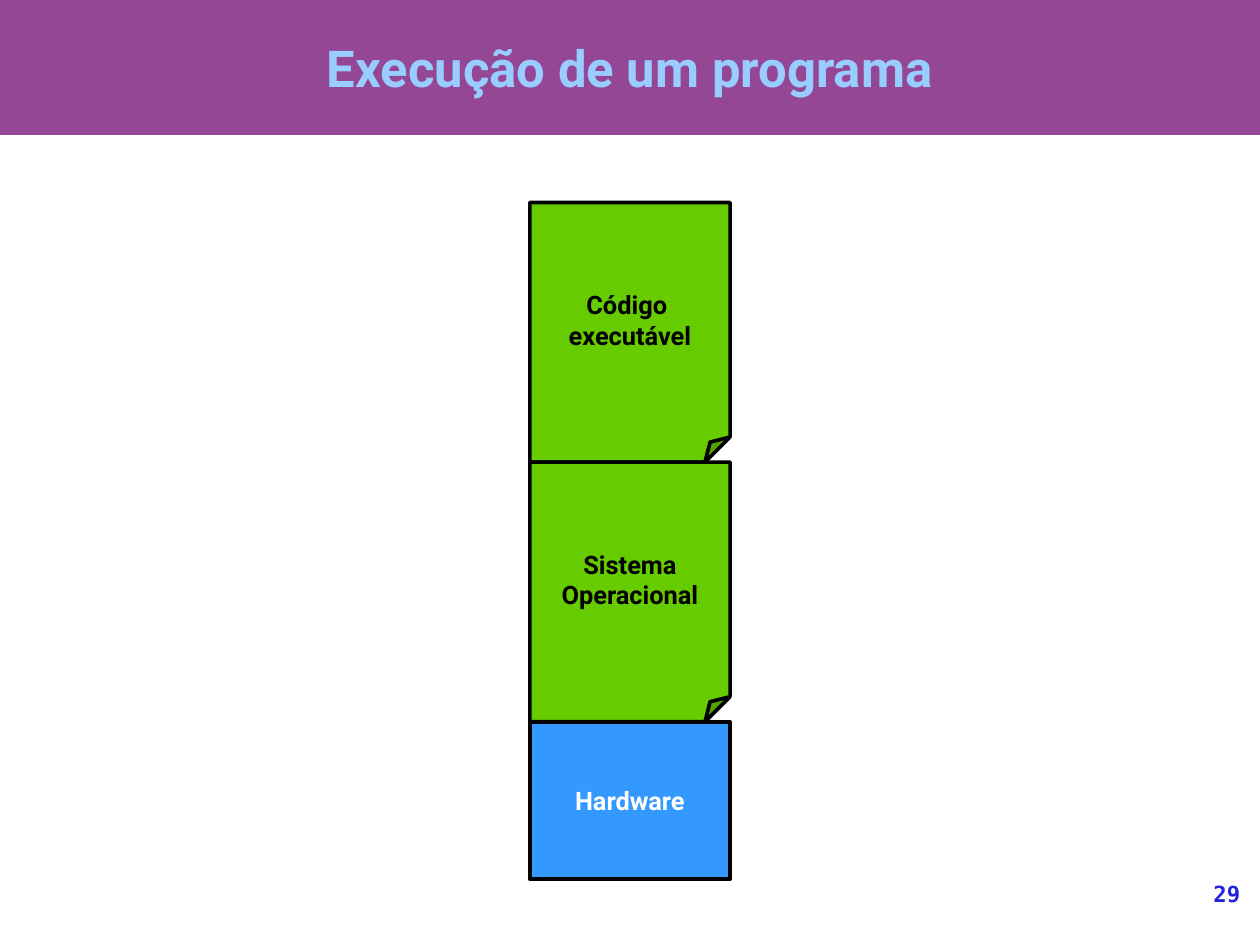
from lxml.etree import SubElement
from pptx import Presentation
from pptx.dml.color import RGBColor
from pptx.enum.shapes import MSO_SHAPE as Shape
from pptx.enum.text import MSO_ANCHOR as Anchor, MSO_AUTO_SIZE as AutoSize, PP_ALIGN as Align
from pptx.oxml.ns import qn
from pptx.util import Cm, Pt

PURPLE = RGBColor(0x94, 0x47, 0x94)
PALE_BLUE = RGBColor(0x99, 0xCC, 0xFF)
GREEN = RGBColor(0x66, 0xCC, 0x00)
BLUE = RGBColor(0x33, 0x99, 0xFF)
NUMBER_BLUE = RGBColor(0x23, 0x23, 0xDC)
BLACK = RGBColor(0, 0, 0)
WHITE = RGBColor(0xFF, 0xFF, 0xFF)

PAGE_WIDTH, PAGE_HEIGHT = 28, 21
LAYER_WIDTH = 4.45
STACK_TOP = 4.5

# Layers from top to bottom: outline, height, fill, text colour, lines
LAYERS = [
    (Shape.FOLDED_CORNER, 5.77, GREEN, BLACK, ["Código ", "executável"]),
    (Shape.FOLDED_CORNER, 5.77, GREEN, BLACK, ["Sistema", "Operacional"]),
    (Shape.RECTANGLE, 3.5, BLUE, WHITE, ["Hardware"]),
]


def write(frame, lines, size, color, align=Align.CENTER, name="Roboto"):
    para = frame.paragraphs[0]
    for index, line in enumerate(lines):
        if index:
            para.add_line_break()
        para.add_run().text = line
    para.alignment = align
    para.font.name = name
    para.font.size = Pt(size)
    para.font.bold = True
    para.font.color.rgb = color


def set_margins(frame, across, down):
    frame.margin_left = frame.margin_right = Cm(across)
    frame.margin_top = frame.margin_bottom = Cm(down)


def add_title(page, text):
    title = page.shapes.title
    title.left, title.top, title.width, title.height = Cm(0), Cm(0), Cm(PAGE_WIDTH), Cm(3)
    title.fill.solid()
    title.fill.fore_color.rgb = PURPLE
    frame = title.text_frame
    frame.auto_size = AutoSize.NONE
    frame.vertical_anchor = Anchor.MIDDLE
    set_margins(frame, 0, 0)
    write(frame, [text], 32, PALE_BLUE)


def set_fold(box, fraction):
    # The folded corner has no adjustments in python-pptx
    guides = next(box.element.iter(qn("a:avLst")))
    SubElement(guides, qn("a:gd"), name="adj", fmla=f"val {round(fraction * 100000)}")


def add_layer(page, top, outline, height, fill, color, lines):
    left = (PAGE_WIDTH - LAYER_WIDTH) / 2
    box = page.shapes.add_shape(outline, Cm(left), Cm(top), Cm(LAYER_WIDTH), Cm(height))
    box.shadow.inherit = False
    if outline == Shape.FOLDED_CORNER:
        set_fold(box, 0.125)
    box.fill.solid()
    box.fill.fore_color.rgb = fill
    box.line.color.rgb = BLACK
    box.line.width = Pt(2.3)
    frame = box.text_frame
    frame.word_wrap = False
    frame.vertical_anchor = Anchor.MIDDLE
    set_margins(frame, 0.28, 0.15)
    write(frame, lines, 16, color)


def add_page_number(page, number):
    box = page.shapes.add_textbox(Cm(23.29), Cm(19.56), Cm(4.27), Cm(1.44))
    frame = box.text_frame
    frame.word_wrap = True
    set_margins(frame, 0, 0)
    write(frame, [number], 14, NUMBER_BLUE, Align.RIGHT, "DejaVu Sans Mono")


def main():
    deck = Presentation()
    deck.slide_width, deck.slide_height = Cm(PAGE_WIDTH), Cm(PAGE_HEIGHT)
    page = deck.slides.add_slide(deck.slide_layouts[5])

    add_title(page, "Execução de um programa")

    # Stack of layers, each resting on the next
    top = STACK_TOP
    for outline, height, fill, color, lines in LAYERS:
        add_layer(page, top, outline, height, fill, color, lines)
        top += height

    add_page_number(page, "29")
    deck.save("out.pptx")


if __name__ == "__main__":
    main()
